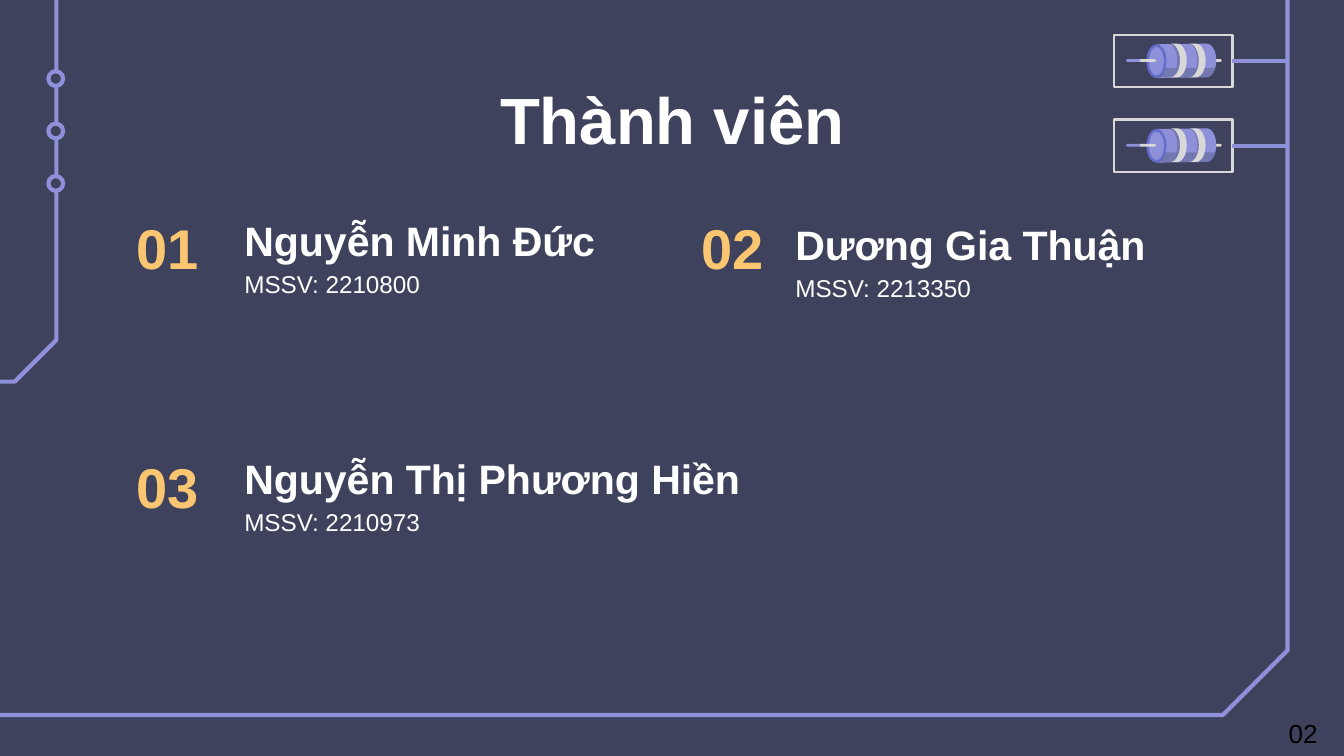
from math import cos, radians, sin

from lxml import etree
from pptx import Presentation
from pptx.dml.color import RGBColor
from pptx.enum.shapes import MSO_SHAPE as SHAPE
from pptx.enum.text import MSO_ANCHOR as ANCHOR, MSO_AUTO_SIZE as AUTO, PP_ALIGN as ALIGN
from pptx.oxml.ns import qn
from pptx.util import Inches, Pt

COLORS = {"bg": "3F425C", "violet": "8E91DA", "blue": "646DC9", "shade": "484C69",
          "silver": "D8D8D8", "gold": "FAC671", "white": "FFFFFF", "black": "000000"}
FONT = "Arial"


def rgb(name):
    return RGBColor.from_string(COLORS[name])


def paint(shape, fill=None, line=None, width=2.25):
    shape.shadow.inherit = False
    if fill:
        shape.fill.solid()
        shape.fill.fore_color.rgb = rgb(fill)
    else:
        shape.fill.background()
    if line:
        shape.line.color.rgb = rgb(line)
        shape.line.width = Pt(width)
    else:
        shape.line.fill.background()
    return shape


def add_preset(shapes, kind, x, y, w, h, **style):
    sp = shapes.add_shape(kind, Inches(x), Inches(y), Inches(w), Inches(h))
    return paint(sp, **style)


def add_outline(shapes, points, close=False, **style):
    pts = [(Inches(x), Inches(y)) for x, y in points]
    builder = shapes.build_freeform(*pts[0], scale=1.0)
    builder.add_line_segments(pts[1:], close=close)
    return paint(builder.convert_to_shape(), **style)


def add_wire(shapes, frame, x_end):
    """Run a horizontal wire from the right side of frame to x_end."""
    y = frame.top + frame.height // 2
    wire = shapes.add_connector(1, frame.left + frame.width, y, Inches(x_end), y)
    wire.begin_connect(frame, 3)
    wire.line.color.rgb = rgb("violet")
    wire.line.width = Pt(2.25)
    etree.SubElement(wire._element.spPr, qn("a:effectLst"))


def set_text(shape, lines, anchor=ANCHOR.TOP, align=ALIGN.LEFT, color="white",
             spacing=None, wrap=True, fit=AUTO.NONE):
    """Write lines given as (text, size, bold), one paragraph each."""
    tf = shape.text_frame
    tf.word_wrap, tf.auto_size, tf.vertical_anchor = wrap, fit, anchor
    if wrap:
        tf.margin_left = tf.margin_right = tf.margin_top = tf.margin_bottom = Inches(0.1)
    for i, (text, size, bold) in enumerate(lines):
        p = tf.add_paragraph() if i else tf.paragraphs[0]
        p.alignment = align
        if spacing:
            p.line_spacing = spacing
        r = p.add_run()
        r.text = text
        r.font.name, r.font.size, r.font.bold = FONT, Pt(size), bold
        r.font.color.rgb = rgb(color)


def add_text(s, x, y, w, h, lines, **fmt):
    box = s.shapes.add_textbox(Inches(x), Inches(y), Inches(w), Inches(h))
    set_text(box, lines, **fmt)


def circuit_traces(s):
    add_outline(s.shapes, [(9.58, -0.01), (9.58, 4.84), (9.1, 5.32), (-0.02, 5.32)],
                line="violet")
    add_outline(s.shapes, [(0.42, -0.06), (0.42, 2.53), (0.11, 2.84), (-0.16, 2.84),
                           (-0.29, 2.87)], line="violet")
    for i in range(3):
        add_preset(s.shapes, SHAPE.OVAL, 0.36, 0.53 + 0.39 * i, 0.11, 0.11,
                   fill="bg", line="violet")


def resistor(s, x, y, x_wire):
    """Draw a framed resistor with its frame at x, y, wired to x_wire."""
    shapes = s.shapes.add_group_shape().shapes

    def arc(dx, start, end):
        """Right half-ellipse points about x + dx, in degrees from -90 (top) to 90."""
        angles = [radians(start + (end - start) * i / 16) for i in range(17)]
        return [(x + dx + 0.07 * cos(a), y + 0.2 + 0.125 * sin(a)) for a in angles]

    def lead(dx, w, color):
        add_preset(shapes, SHAPE.ROUNDED_RECTANGLE, x + dx, y + 0.19, w, 0.02,
                   fill=color).adjustments[0] = 0.5

    lead(0.1, 0.13, "violet")
    lead(0.7, 0.11, "silver")
    add_outline(shapes, [(x + 0.33, y + 0.08)] + arc(0.7, -90, 90) + [(x + 0.33, y + 0.33)],
                close=True, fill="violet")
    add_preset(shapes, SHAPE.OVAL, x + 0.25, y + 0.08, 0.15, 0.25, fill="blue")
    add_preset(shapes, SHAPE.OVAL, x + 0.27, y + 0.1, 0.11, 0.21, fill="violet")

    shade = add_outline(shapes, arc(0.41, -90, 26) + arc(0.33, 26, 90) + arc(0.7, 90, 26)
                        + arc(0.61, 26, -90) + arc(0.56, -90, 26) + arc(0.46, 26, -90),
                        close=True, fill="shade")
    color = shade._element.spPr.find(qn("a:solidFill"))[0]
    etree.SubElement(color, qn("a:alpha"), val="36000")

    for dx in (0.57, 0.43):
        add_outline(shapes, arc(dx, -90, 90) + arc(dx + 0.05, 90, -90),
                    close=True, fill="silver")
    lead(0.2, 0.12, "silver")
    frame = add_preset(shapes, SHAPE.RECTANGLE, x + 0.01, y + 0.01, 0.88, 0.39,
                       line="silver", width=1.25)
    add_wire(s.shapes, frame, x_wire)


def member(s, number, name, code, number_at, name_box):
    add_text(s, *number_at, 0.8, 0.49, [(number, 30, True)],
             anchor=ANCHOR.MIDDLE, color="gold")
    add_text(s, *name_box, [(name, 22, True), (f"MSSV: {code}", 13, False)],
             anchor=ANCHOR.BOTTOM, spacing=1.15)


def title(s, x, y, w, h, text):
    sp = s.shapes.title
    sp.left, sp.top, sp.width, sp.height = (Inches(v) for v in (x, y, w, h))
    set_text(sp, [(text, 35, True)], align=ALIGN.CENTER)


def main():
    prs = Presentation()
    prs.slide_width, prs.slide_height = Inches(10), Inches(10) * 9 // 16
    s = prs.slides.add_slide(prs.slide_layouts[5])
    s.background.fill.solid()
    s.background.fill.fore_color.rgb = rgb("bg")

    circuit_traces(s)
    title(s, 0.79, 0.49, 8.43, 0.63, "Thành viên")
    member(s, "01", "Nguyễn Minh Đức", "2210800", (0.92, 1.59), (1.72, 1.36, 3.15, 0.96))
    member(s, "02", "Dương Gia Thuận", "2213350", (5.12, 1.59), (5.82, 1.39, 3.16, 0.96))
    member(s, "03", "Nguyễn Thị Phương Hiền", "2210973",
           (0.92, 3.37), (1.72, 3.14, 4.1, 0.95))
    for y in (0.25, 0.88):
        resistor(s, 8.28, y, 9.57)
    add_text(s, 9.49, 5.29, 0.42, 0.34, [("02", 14, False)], color="black",
             wrap=False, fit=AUTO.SHAPE_TO_FIT_TEXT)
    prs.save("out.pptx")


if __name__ == "__main__":
    main()
